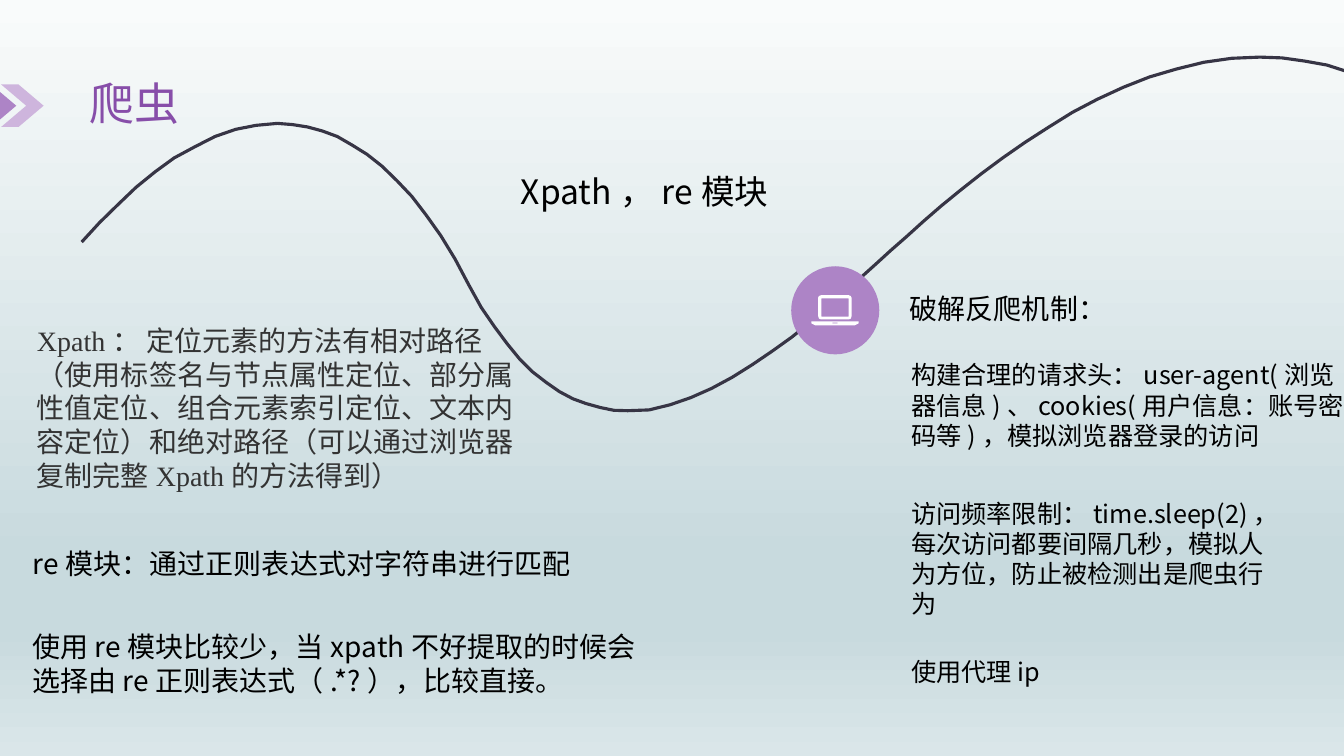
"""Build the crawler slide with its wave, laptop badge and notes."""
from lxml.etree import SubElement
from pptx import Presentation
from pptx.dml.color import RGBColor
from pptx.enum.shapes import MSO_SHAPE
from pptx.enum.text import MSO_ANCHOR, MSO_AUTO_SIZE, PP_ALIGN
from pptx.oxml.ns import qn
from pptx.util import Cm, Pt

SANS = "Noto Sans CJK SC"
PURPLE, LILAC, WHITE = "AD84C6", "CEB5DD", "FFFFFF"


def paint(fill, colour):
    fill.solid()
    fill.fore_color.rgb = RGBColor.from_string(colour)


def write(box, text, size=18, colour="000000", font=SANS, anchor=MSO_ANCHOR.TOP,
          left_margin=0, spacing=0):
    frame = box.text_frame
    frame.word_wrap = True
    frame.auto_size = MSO_AUTO_SIZE.NONE
    frame.vertical_anchor = anchor
    para = frame.paragraphs[0]
    para.alignment = PP_ALIGN.LEFT
    para.space_before = para.space_after = Pt(spacing)
    properties = para._p.get_or_add_pPr()
    properties.set("marL", str(Cm(left_margin)))
    properties.set("indent", "0")
    span = para.add_run()
    span.text = text
    span.font.size = Pt(size)
    span.font.name = font
    paint(span.font.fill, colour)
    SubElement(span.font._element, qn("a:ea"), typeface=SANS)


deck = Presentation()
deck.slide_width, deck.slide_height = Cm(33.87), Cm(19.05)
page = deck.slides.add_slide(deck.slide_layouts[5])

backdrop = page.background.fill
backdrop.gradient()
backdrop.gradient_angle = 270
stops = page.element.xpath(".//a:gsLst")[0]
stops.clear()
for percent, colour in [(0, "F9FBFB"), (74, "C8DADE"), (83, "C8DADE"), (100, "DAE6E9")]:
    stop = SubElement(stops, qn("a:gs"), pos=str(percent * 1000))
    SubElement(stop, qn("a:srgbClr"), val=colour)

title = page.shapes.title
title.left, title.top, title.width, title.height = Cm(2.01), Cm(1.7), Cm(9.12), Cm(1.75)
write(title, "爬虫", size=32, colour="874EA9", font="Arial", anchor=MSO_ANCHOR.MIDDLE)

for left, colour in [(0.03, LILAC), (-0.66, PURPLE)]:
    chevron = page.shapes.add_shape(MSO_SHAPE.CHEVRON, Cm(left), Cm(2.13), Cm(1.07), Cm(1.07))
    chevron.adjustments[0] = 0.59
    chevron.shadow.inherit = False
    paint(chevron.fill, colour)
    chevron.line.fill.background()

wave_points = [
    (206, 610), (251, 561), (297, 516), (343, 472), (391, 433), (439, 398), (491, 370),
    (542, 344), (594, 326), (645, 316), (699, 311), (737, 314), (775, 320), (812, 330),
    (850, 344), (888, 366), (925, 389), (963, 419), (1001, 456), (1038, 495), (1074, 542),
    (1111, 594), (1147, 653), (1182, 719), (1213, 775), (1246, 823), (1278, 866),
    (1309, 904), (1342, 937), (1377, 964), (1410, 987), (1444, 1005), (1477, 1017),
    (1513, 1027), (1547, 1034), (1582, 1035), (1636, 1033), (1689, 1020), (1741, 1002),
    (1793, 979), (1845, 951), (1896, 919), (1946, 885), (1995, 850), (2042, 812),
    (2087, 772), (2130, 734), (2170, 699), (2210, 663), (2245, 631), (2285, 596),
    (2327, 558), (2372, 519), (2421, 479), (2473, 438), (2527, 398), (2583, 359),
    (2642, 321), (2703, 283), (2766, 250), (2831, 220), (2897, 194), (2965, 174),
    (3034, 157), (3104, 147), (3175, 144), (3231, 146), (3288, 154), (3344, 164),
    (3400, 182), (3457, 204), (3513, 232), (3570, 267), (3627, 307),
]
wave_builder = page.shapes.build_freeform(*wave_points[0], scale=Cm(0.01))
wave_builder.add_line_segments(wave_points[1:], close=False)
wave = wave_builder.convert_to_shape()
wave.shadow.inherit = False
wave.fill.background()
paint(wave.line.fill, "373545")
wave.line.width = Pt(2.25)

badge = page.shapes.add_shape(MSO_SHAPE.OVAL, Cm(19.94), Cm(6.71), Cm(2.22), Cm(2.22))
badge.shadow.inherit = False
paint(badge.fill, PURPLE)
badge.line.fill.background()

base = [(2045, 810), (2164, 810), (2164, 815), (2154, 820), (2055, 820), (2045, 815)]
screen = [(2062, 750), (2064, 746), (2069, 744), (2139, 744), (2144, 746), (2146, 750),
          (2146, 797), (2144, 803), (2139, 805), (2069, 805), (2064, 803), (2062, 797)]
display = [(2070, 752), (2070, 798), (2139, 798), (2139, 752)]
notch = [(2098, 813), (2098, 815), (2111, 815), (2111, 813)]
laptop_builder = page.shapes.build_freeform(*base[0], scale=Cm(0.01))
for outline in (base, screen, display, notch):
    laptop_builder.move_to(*outline[0])
    laptop_builder.add_line_segments(outline[1:], close=True)
laptop = laptop_builder.convert_to_shape()
laptop.shadow.inherit = False
paint(laptop.fill, WHITE)
laptop.line.fill.background()

notes = [
    (22.71, 8.92, 11.63, 2.57,
     "构建合理的请求头：user-agent(浏览器信息)、cookies(用户信息：账号密码等)，模拟浏览器登录的访问",
     {"anchor": MSO_ANCHOR.MIDDLE}),
    (0.58, 13.64, 14.1, 1.12, "re模块：通过正则表达式对字符串进行匹配",
     {"size": 20, "anchor": MSO_ANCHOR.MIDDLE}),
    (-0.84, 8.03, 14.53, 4.52,
     "Xpath： 定位元素的方法有相对路径（使用标签名与节点属性定位、部分属性值定位、"
     "组合元素索引定位、文本内容定位）和绝对路径（可以通过浏览器复制完整Xpath的方法得到）",
     {"size": 20, "colour": "333333", "font": "Times New Roman", "left_margin": 1.52,
      "spacing": 18}),
    (12.88, 4.19, 7.09, 1.27, "Xpath，re模块", {"size": 24}),
    (0.56, 15.75, 16.41, 1.96,
     "使用re模块比较少，当xpath不好提取的时候会选择由re正则表达式（.*?），比较直接。",
     {"size": 20}),
    (22.68, 7.21, 6.22, 1.12, "破解反爬机制：", {"size": 20}),
    (22.71, 12.42, 9.86, 2.57,
     "访问频率限制：time.sleep(2)，每次访问都要间隔几秒，模拟人为方位，防止被检测出是爬虫行为", {}),
    (22.71, 16.41, 18.57, 1.02, "使用代理ip", {}),
]
for left, top, width, height, text, style in notes:
    box = page.shapes.add_textbox(Cm(left), Cm(top), Cm(width), Cm(height))
    write(box, text, **style)

deck.save("out.pptx")
